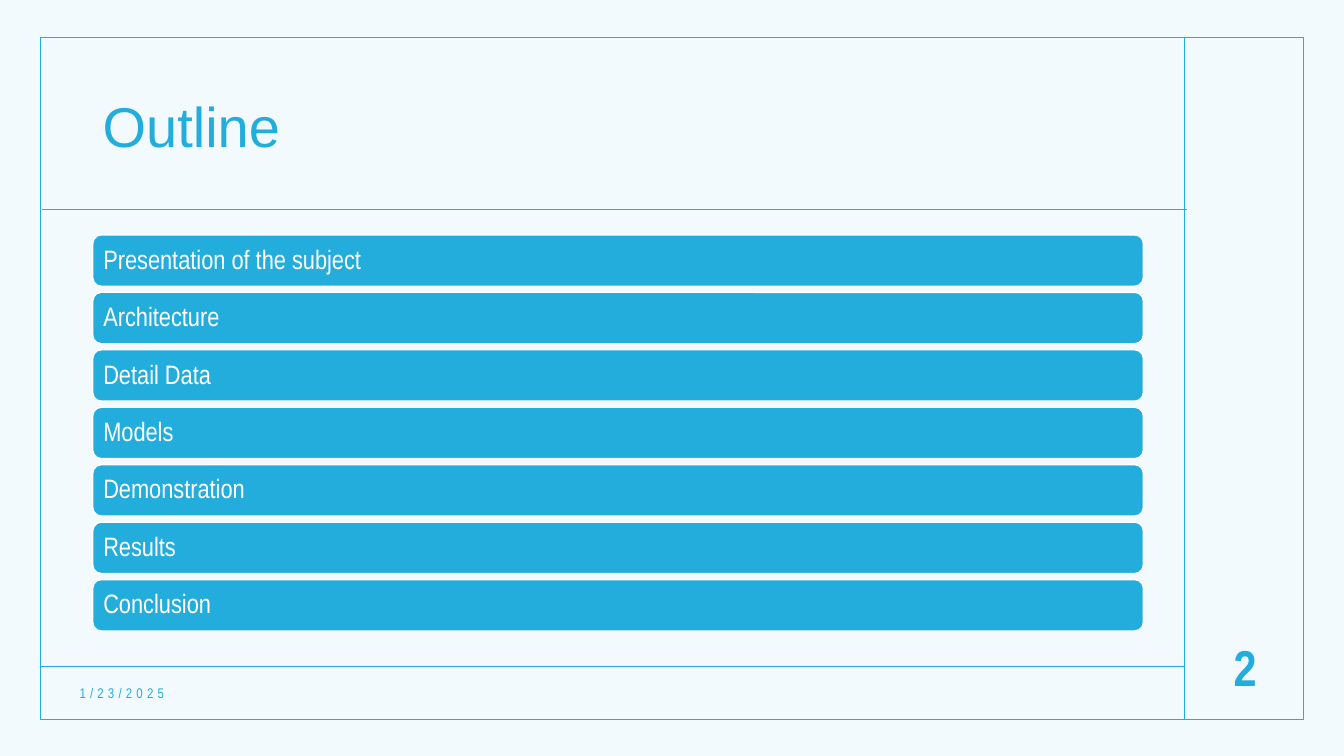
"""Build the Outline slide: framed page, title, seven agenda bars, date and page number."""
from lxml.etree import SubElement
from pptx import Presentation
from pptx.dml.color import RGBColor
from pptx.enum.shapes import MSO_CONNECTOR, MSO_SHAPE
from pptx.enum.text import MSO_ANCHOR, PP_ALIGN
from pptx.oxml.ns import qn
from pptx.util import Inches, Pt

BLUE = "23ADDC"
WHITE = "FFFFFF"


def color(hex_code):
    return RGBColor.from_string(hex_code)


def write(shape, text, font_name, size, hex_code, align=PP_ALIGN.LEFT):
    frame = shape.text_frame
    frame.word_wrap = True
    frame.vertical_anchor = MSO_ANCHOR.MIDDLE
    frame.text = text
    paragraph = frame.paragraphs[0]
    paragraph.alignment = align
    run = paragraph.runs[0]
    run.font.name = font_name
    run.font.size = Pt(size)
    run.font.color.rgb = color(hex_code)
    return paragraph


prs = Presentation()
prs.slide_width = Inches(13.33)
prs.slide_height = Inches(7.5)
slide = prs.slides.add_slide(prs.slide_layouts[6])
shapes = slide.shapes

tint = shapes.add_shape(MSO_SHAPE.RECTANGLE, 0, 0, prs.slide_width, prs.slide_height)
tint.shadow.inherit = False
tint.fill.solid()
tint.fill.fore_color.rgb = color(BLUE)
tint.line.fill.background()
tint_color = tint.fill._xPr.find(qn("a:solidFill"))[0]
SubElement(tint_color, qn("a:alpha"), val="5000")

frame_border = shapes.add_shape(
    MSO_SHAPE.RECTANGLE, Inches(0.4), Inches(0.37), Inches(12.53), Inches(6.77))
frame_border.shadow.inherit = False
frame_border.fill.background()
frame_border.line.color.rgb = color(BLUE)
frame_border.line.width = Pt(1)

dividers = [
    (11.75, 0.37, 11.75, 7.13),
    (0.41, 6.61, 11.75, 6.61),
    (0.42, 2.08, 11.77, 2.08),
]
for ends in dividers:
    divider = shapes.add_connector(MSO_CONNECTOR.STRAIGHT, *map(Inches, ends))
    divider.line.color.rgb = color(BLUE)
    divider.line.width = Pt(1)
    SubElement(divider._element.spPr, qn("a:effectLst"))

title = shapes.add_textbox(Inches(0.92), Inches(0.6), Inches(10.42), Inches(1.36))
write(title, "Outline", "Arial", 40, BLUE).line_spacing = 0.9

topics = [
    "Presentation of the subject",
    "Architecture",
    "Detail Data",
    "Models",
    "Demonstration",
    "Results",
    "Conclusion",
]
for index, topic in enumerate(topics):
    bar = shapes.add_shape(
        MSO_SHAPE.ROUNDED_RECTANGLE,
        Inches(0.92), Inches(2.33 + 0.57 * index), Inches(10.42), Inches(0.51))
    bar.shadow.inherit = False
    bar.fill.solid()
    bar.fill.fore_color.rgb = color(BLUE)
    bar.line.color.rgb = color(WHITE)
    bar.line.width = Pt(1)
    bar.text_frame.margin_left = bar.text_frame.margin_right = Inches(0.08)
    write(bar, topic, "Arial Narrow", 19, WHITE).line_spacing = 0.9

date = shapes.add_textbox(Inches(0.69), Inches(6.72), Inches(3.45), Inches(0.31))
date_text = write(date, "1/23/2025", "Arial Narrow", 10, BLUE)
date_text.runs[0].font._element.set("spc", "300")

page_number = shapes.add_textbox(Inches(11.83), Inches(6.2), Inches(1.04), Inches(0.83))
page_text = write(page_number, "2", "Arial Narrow", 36, BLUE, PP_ALIGN.CENTER)
page_text.runs[0].font.bold = True

prs.save("out.pptx")
